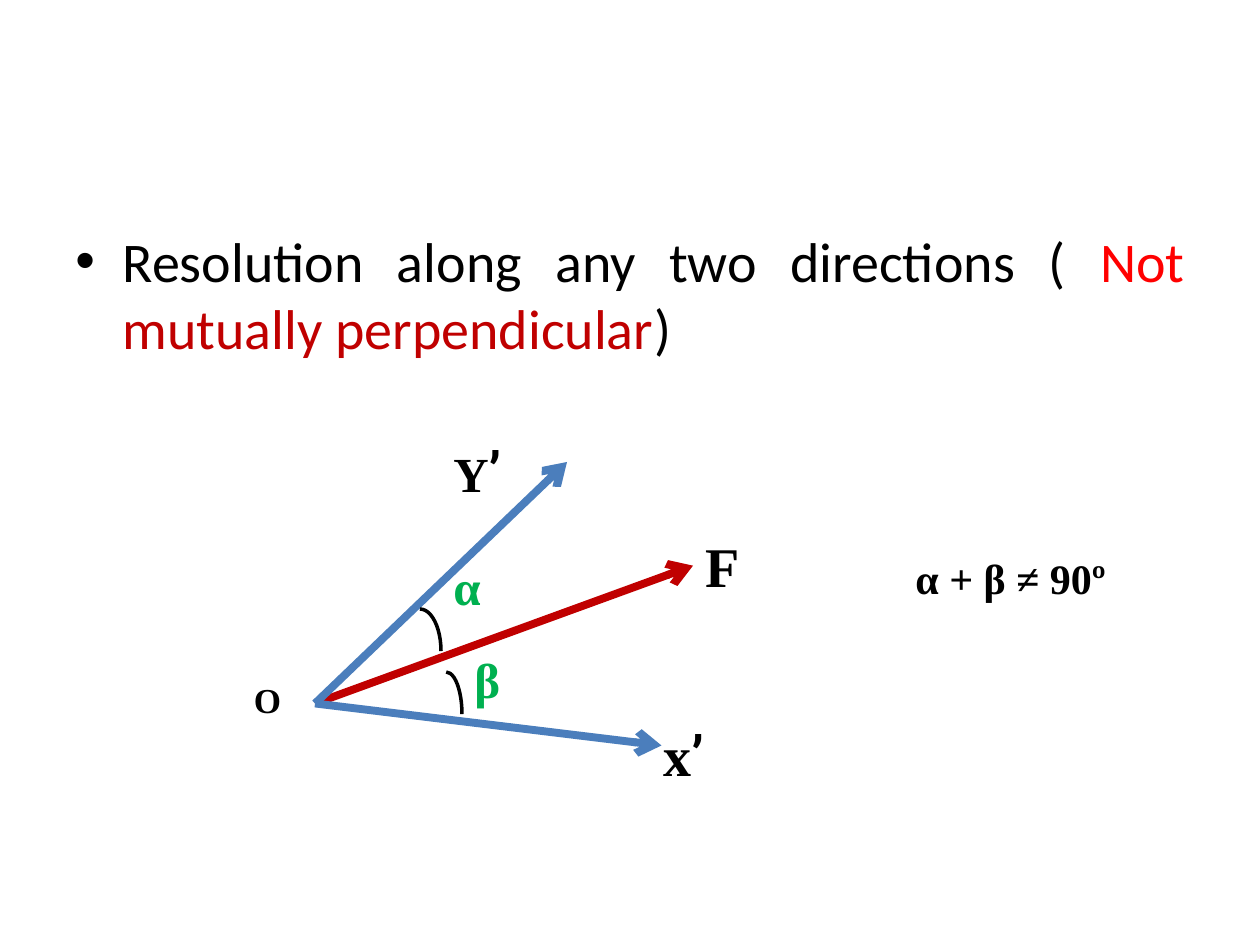
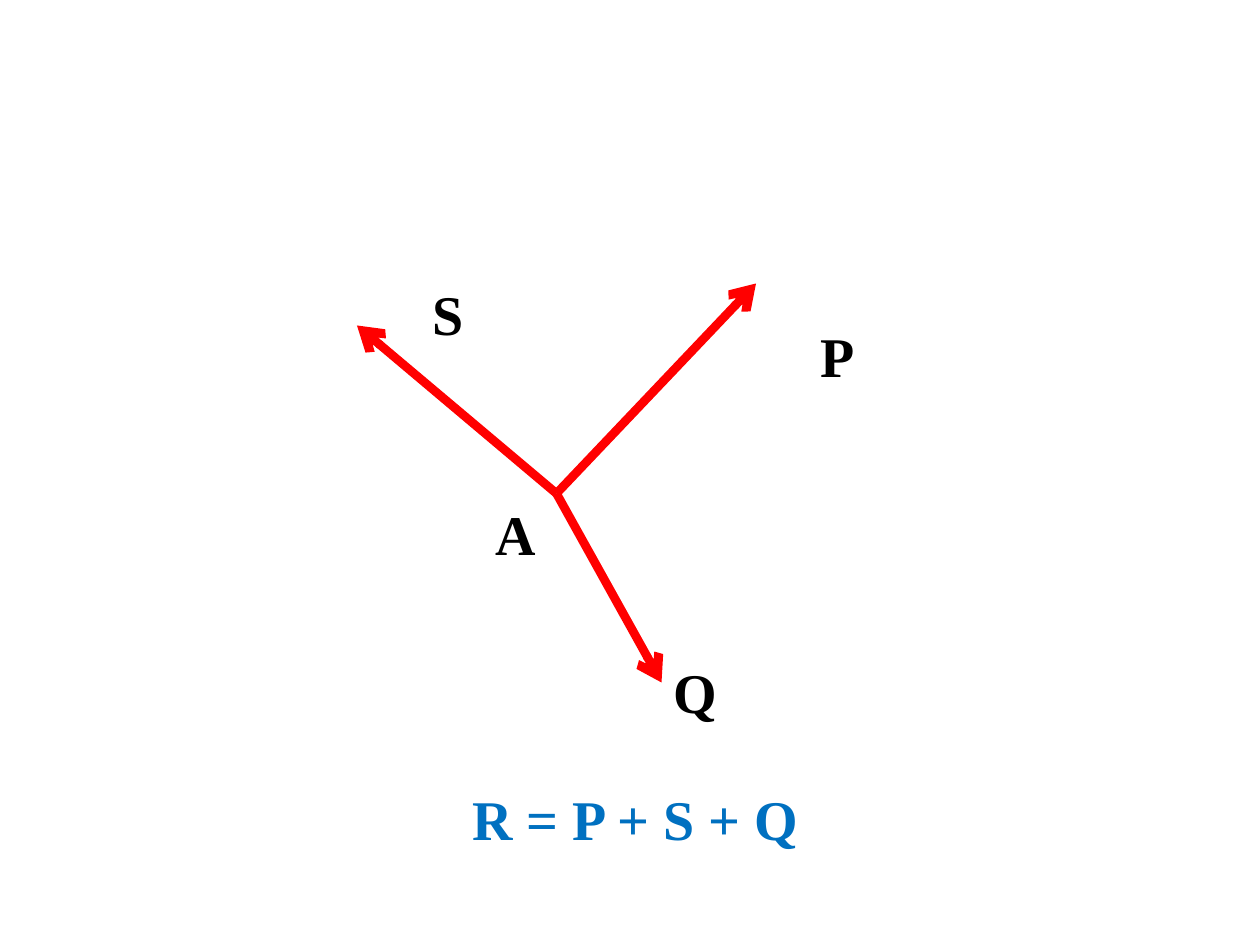
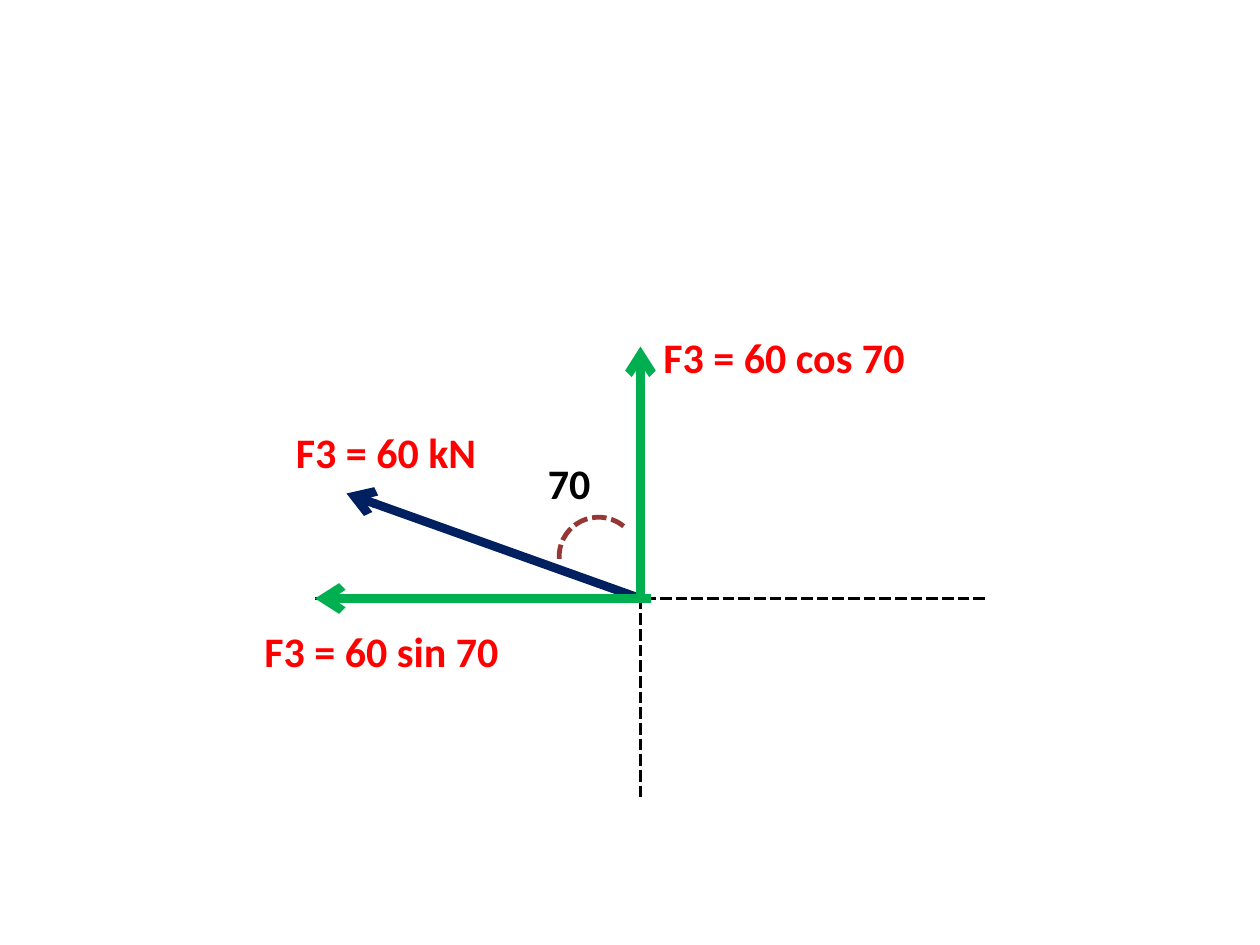
from dataclasses import dataclass
from typing import Optional

from lxml.etree import SubElement
from pptx import Presentation
from pptx.dml.color import RGBColor
from pptx.enum.dml import MSO_LINE
from pptx.enum.shapes import MSO_CONNECTOR, MSO_SHAPE
from pptx.enum.text import MSO_ANCHOR, MSO_AUTO_SIZE, PP_ALIGN
from pptx.oxml.ns import qn
from pptx.util import Emu, Pt

EMU_PER_PX = 9525
LEFT_SIDE = 1


@dataclass(frozen=True)
class Theme:
    black: str = "000000"
    red: str = "FF0000"
    dark_red: str = "C00000"
    steel: str = "4B7EBC"
    green: str = "00B050"
    blue: str = "0070C0"
    navy: str = "002060"
    brown: str = "953735"
    serif: str = "Times New Roman"
    sans: str = "Calibri"
    prime_font: str = "Roboto Condensed"
    bullet_font: str = "Arial"
    large: int = 32
    medium: int = 28
    small: int = 24
    tiny: int = 20


THEME = Theme()


@dataclass(frozen=True)
class Box:
    left: int
    top: int
    width: int
    height: int


@dataclass(frozen=True)
class TextRun:
    text: str
    size: int = THEME.large
    color: str = THEME.black
    font: str = THEME.serif
    bold: bool = True


@dataclass(frozen=True)
class Label:
    box: Box
    runs: tuple[TextRun, ...]
    align: PP_ALIGN = PP_ALIGN.LEFT
    anchor: MSO_ANCHOR = MSO_ANCHOR.TOP
    bullet_indent: int = 0


@dataclass(frozen=True)
class Segment:
    start: tuple[int, int]
    end: tuple[int, int]
    color: str
    weight: float
    arrow: bool = True
    dashed: bool = False
    target: Optional[Label] = None


@dataclass(frozen=True)
class AngleMark:
    box: Box
    color: str = THEME.black
    weight: float = 2
    dashed: bool = False
    rotation: float = 0
    end_angle: float = 0


@dataclass(frozen=True)
class Diagram:
    segments: tuple[Segment, ...]
    labels: tuple[Label, ...]
    angle_marks: tuple[AngleMark, ...] = ()


def px(value: int) -> Emu:
    return Emu(value * EMU_PER_PX)


def place(box: Box) -> tuple[Emu, ...]:
    return px(box.left), px(box.top), px(box.width), px(box.height)


def style_line(line, color: str, weight: float, dashed: bool) -> None:
    line.color.rgb = RGBColor.from_string(color)
    line.width = Pt(weight)
    if dashed:
        line.dash_style = MSO_LINE.SQUARE_DOT


def draw_segment(slide, segment: Segment):
    connector = slide.shapes.add_connector(
        MSO_CONNECTOR.STRAIGHT, *map(px, segment.start + segment.end)
    )
    style_line(connector.line, segment.color, segment.weight, segment.dashed)
    properties = connector._element.spPr
    if segment.arrow:
        SubElement(properties.find(qn("a:ln")), qn("a:tailEnd"), type="arrow")
    SubElement(properties, qn("a:effectLst"))
    return connector


def draw_angle_mark(slide, mark: AngleMark) -> None:
    shape = slide.shapes.add_shape(MSO_SHAPE.ARC, *place(mark.box))
    shape.shadow.inherit = False
    shape.fill.background()
    shape.rotation = mark.rotation
    shape.adjustments[0] = 162
    shape.adjustments[1] = mark.end_angle
    style_line(shape.line, mark.color, mark.weight, mark.dashed)


def add_bullet(paragraph, indent: int) -> None:
    properties = paragraph._p.get_or_add_pPr()
    properties.set("marL", str(px(indent)))
    properties.set("indent", str(-px(indent)))
    SubElement(properties, qn("a:buFont"), typeface=THEME.bullet_font)
    SubElement(properties, qn("a:buChar"), char="•")


def draw_label(slide, label: Label):
    shape = slide.shapes.add_textbox(*place(label.box))
    frame = shape.text_frame
    frame.word_wrap = True
    frame.auto_size = MSO_AUTO_SIZE.SHAPE_TO_FIT_TEXT
    frame.vertical_anchor = label.anchor
    paragraph = frame.paragraphs[0]
    paragraph.alignment = label.align
    if label.bullet_indent:
        add_bullet(paragraph, label.bullet_indent)
    for text_run in label.runs:
        run = paragraph.add_run()
        run.text = text_run.text
        run.font.size = Pt(text_run.size)
        run.font.name = text_run.font
        run.font.bold = text_run.bold
        run.font.color.rgb = RGBColor.from_string(text_run.color)
    return shape


def draw_diagram(presentation, diagram: Diagram) -> None:
    slide = presentation.slides.add_slide(presentation.slide_layouts[6])
    connectors = [draw_segment(slide, segment) for segment in diagram.segments]
    for mark in diagram.angle_marks:
        draw_angle_mark(slide, mark)
    shapes = [draw_label(slide, label) for label in diagram.labels]
    for segment, connector in zip(diagram.segments, connectors):
        if segment.target:
            target_shape = shapes[diagram.labels.index(segment.target)]
            connector.end_connect(target_shape, LEFT_SIDE)


def oblique_resolution() -> Diagram:
    origin = (240, 536)

    def body_run(text: str, color: str = THEME.black) -> TextRun:
        return TextRun(text, color=color, font=THEME.sans, bold=False)

    def axis_label(left: int, top: int, letter: str, size: int) -> Label:
        runs = (TextRun(letter, size), TextRun("’", font=THEME.prime_font))
        return Label(Box(left, top, 72, 62), runs)

    def angle_label(left: int, top: int, width: int, letter: str) -> Label:
        run = TextRun(letter, THEME.medium, THEME.green)
        return Label(Box(left, top, width, 55), (run,), anchor=MSO_ANCHOR.MIDDLE)

    statement = Label(
        Box(48, 168, 864, 120),
        (
            body_run("Resolution along any two directions ( "),
            body_run("Not ", THEME.red),
            body_run("mutually perpendicular", THEME.dark_red),
            body_run(")"),
        ),
        align=PP_ALIGN.JUSTIFY,
        bullet_indent=36,
    )
    force = Label(Box(528, 400, 40, 62), (TextRun("F"),))
    return Diagram(
        segments=(
            Segment(origin, (528, 432), THEME.dark_red, 4.5, target=force),
            Segment(origin, (504, 568), THEME.steel, 4.5),
            Segment(origin, (432, 352), THEME.steel, 4.5),
        ),
        angle_marks=(
            AngleMark(Box(328, 512, 24, 64)),
            AngleMark(Box(304, 464, 32, 64)),
        ),
        labels=(
            statement,
            Label(Box(184, 512, 40, 42), (TextRun("O", THEME.tiny),)),
            force,
            angle_label(336, 419, 40, "α"),
            angle_label(352, 490, 72, "β"),
            axis_label(336, 328, "Y", THEME.medium),
            axis_label(496, 544, "x", THEME.large),
            Label(
                Box(688, 416, 168, 48),
                (TextRun("α + β ≠ 90º", THEME.small),),
                anchor=MSO_ANCHOR.MIDDLE,
            ),
        ),
    )


def concurrent_forces() -> Diagram:
    point_a = (424, 376)
    force_tips = ((576, 216), (504, 520), (272, 248))
    letters = (("P", 616, 240), ("S", 320, 208), ("Q", 504, 496), ("A", 368, 376))
    resultant = Label(
        Box(344, 592, 280, 62),
        (TextRun("R = P + S + Q", color=THEME.blue),),
        align=PP_ALIGN.CENTER,
        anchor=MSO_ANCHOR.MIDDLE,
    )
    return Diagram(
        segments=tuple(Segment(point_a, tip, THEME.red, 5) for tip in force_tips),
        labels=tuple(
            Label(Box(left, top, 48, 62), (TextRun(letter),))
            for letter, left, top in letters
        )
        + (resultant,),
    )


def force_components() -> Diagram:
    origin = (488, 456)

    def caption(
        left: int, top: int, width: int, text: str, color: str = THEME.red
    ) -> Label:
        run = TextRun(text, THEME.small, color, THEME.sans)
        return Label(Box(left, top, width, 48), (run,))

    def axis(start: tuple[int, int], end: tuple[int, int]) -> Segment:
        return Segment(start, end, THEME.black, 2.25, arrow=False, dashed=True)

    return Diagram(
        segments=(
            axis((240, 456), (752, 456)),
            axis((488, 312), (488, 608)),
            Segment(origin, (264, 376), THEME.navy, 5),
            Segment(origin, (488, 264), THEME.green, 5),
            Segment((496, 456), (240, 456), THEME.green, 5),
        ),
        angle_marks=(
            AngleMark(Box(426, 394, 60, 60), THEME.brown, 2.75, True, 266.6, 29.72),
        ),
        labels=(
            caption(216, 320, 168, "F3 = 60 kN"),
            caption(408, 344, 64, "70", THEME.black),
            caption(496, 248, 216, "F3 = 60 cos 70"),
            caption(192, 472, 216, "F3 = 60 sin 70"),
        ),
    )


def main() -> None:
    presentation = Presentation()
    presentation.slide_width = px(960)
    presentation.slide_height = px(720)
    for diagram in (oblique_resolution(), concurrent_forces(), force_components()):
        draw_diagram(presentation, diagram)
    presentation.save("out.pptx")


if __name__ == "__main__":
    main()
